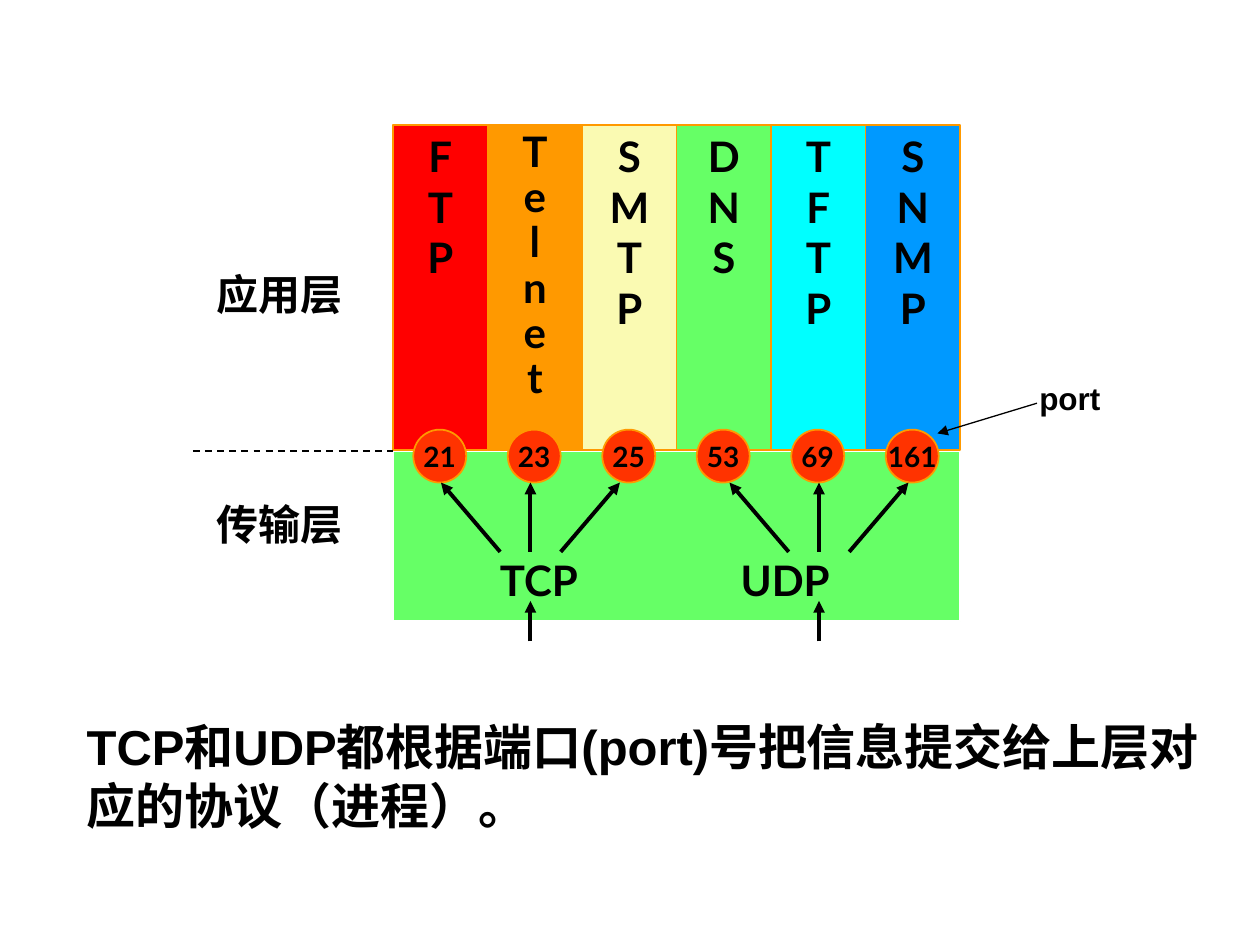
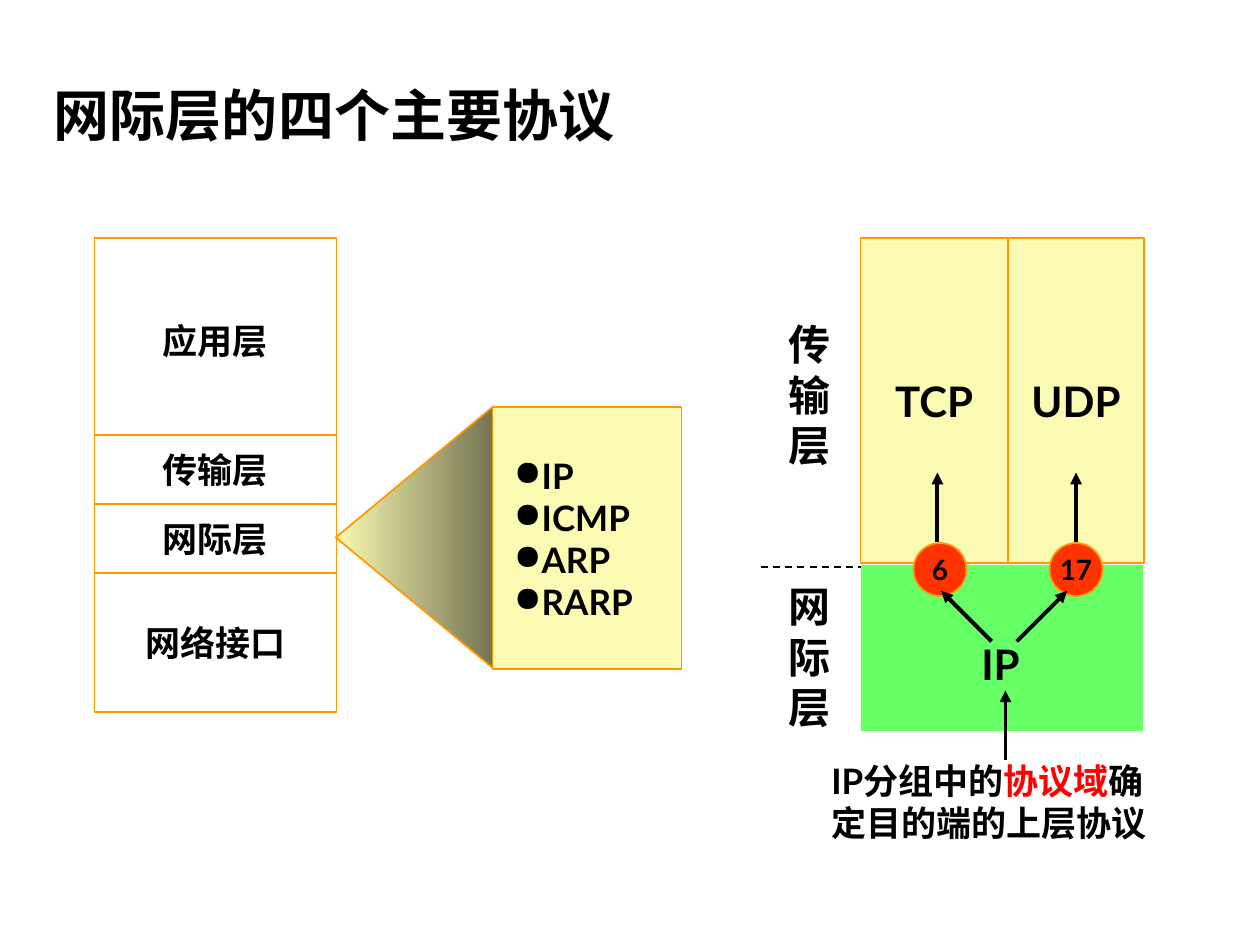
import typing

import lxml.etree
import pptx
import pptx.dml.color
import pptx.enum.dml
import pptx.enum.shapes
import pptx.enum.text
import pptx.oxml.ns
import pptx.util

EMU_PER_PX = 9144  # 100 px to the inch
COLORS = {
    "text": "000000",
    "white": "FFFFFF",
    "border": "FF9900",
    "port": "FF3300",
    "red": "FF0000",
    "orange": "FF9900",
    "cream": "FAFAB2",
    "shade": "747452",
    "green": "66FF66",
    "cyan": "00FFFF",
    "blue": "0099FF",
}
LATO, ARIAL = "Lato", "Arial"
PORT_SIZE = 42
LANE_HEIGHT = 258

SHAPE = pptx.enum.shapes.MSO_SHAPE
ALIGN = pptx.enum.text.PP_ALIGN
ANCHOR = pptx.enum.text.MSO_ANCHOR
DASH = pptx.enum.dml.MSO_LINE.DASH


class Box(typing.NamedTuple):
    left: int
    top: int
    width: int
    height: int


class Application(typing.NamedTuple):
    name: str
    port: str
    fill: str
    spacing: float = 1.0


class Layer(typing.NamedTuple):
    name: str
    top: int
    height: int


class Transport(typing.NamedTuple):
    name: str
    number: str
    lane: Box
    port_left: int
    arrow_x: int


APPLICATIONS = [
    Application("FTP", "21", "red"),
    Application("Telnet", "23", "orange", 0.9),
    Application("SMTP", "25", "cream"),
    Application("DNS", "53", "green"),
    Application("TFTP", "69", "cyan"),
    Application("SNMP", "161", "blue"),
]
LAYERS = [
    Layer("应用层", 189, 162),
    Layer("传输层", 345, 55),
    Layer("网际层", 400, 55),
    Layer("网络接口", 455, 110),
]
TRANSPORTS = [
    Transport("TCP", "6", Box(683, 189, 117, LANE_HEIGHT), 725, 744),
    Transport("UDP", "17", Box(800, 189, 108, LANE_HEIGHT), 833, 854),
]


def px(length: int) -> pptx.util.Emu:
    return pptx.util.Emu(length * EMU_PER_PX)


def rgb(name: str) -> pptx.dml.color.RGBColor:
    return pptx.dml.color.RGBColor.from_string(COLORS[name])


def add_xml(parent, tag: str, **attributes: str) -> None:
    lxml.etree.SubElement(parent, pptx.oxml.ns.qn(tag), attributes)


def write(shape, *lines: str, size: int = 24, font: str = LATO, align=ALIGN.LEFT,
          anchor=ANCHOR.TOP, wrap: bool = True, spacing: float = 1.0,
          highlight: str = "", bullet: str = "") -> None:
    """Fill a shape with one paragraph per line; the highlight turns red."""
    frame = shape.text_frame
    frame.word_wrap = wrap
    frame.vertical_anchor = anchor
    for index, line in enumerate(lines):
        paragraph = frame.add_paragraph() if index else frame.paragraphs[0]
        paragraph.alignment = align
        if spacing != 1.0:
            paragraph.line_spacing = spacing
        if bullet:
            properties = paragraph._p.get_or_add_pPr()
            properties.set("marL", str(px(24)))
            properties.set("indent", str(px(-17)))
            add_xml(properties, "a:buChar", char=bullet)
        pieces = line.partition(highlight) if highlight else (line,)
        for piece in filter(None, pieces):
            run = paragraph.add_run()
            run.text = piece
            run.font.size = pptx.util.Pt(size)
            run.font.name = font
            run.font.bold = True
            run.font.color.rgb = rgb("red" if piece == highlight else "text")


def add_label(slide, box: Box, text: str, **text_format) -> None:
    write(slide.shapes.add_textbox(*map(px, box)), text, **text_format)


def add_block(slide, box: Box, fill: str, border: str = "border", kind=SHAPE.RECTANGLE):
    block = slide.shapes.add_shape(kind, *map(px, box))
    block.shadow.inherit = False
    block.fill.solid()
    block.fill.fore_color.rgb = rgb(fill)
    block.line.color.rgb = rgb(border)
    block.line.width = pptx.util.Pt(1)
    return block


def add_port(slide, left: int, top: int, number: str) -> None:
    port = add_block(slide, Box(left, top, PORT_SIZE, PORT_SIZE), "port", kind=SHAPE.OVAL)
    write(port, number, size=16, align=ALIGN.CENTER, anchor=ANCHOR.MIDDLE, wrap=False)


def add_line(slide, start: tuple[int, int], end: tuple[int, int], *,
             width: float = 2.25, arrow: bool = True) -> None:
    """Draw an arrow, or a dashed line when arrow is False."""
    line = slide.shapes.add_connector(
        pptx.enum.shapes.MSO_CONNECTOR.STRAIGHT, *map(px, start + end))
    line.line.color.rgb = rgb("text")
    line.line.width = pptx.util.Pt(width)
    if arrow:
        add_xml(line.line._get_or_add_ln(), "a:tailEnd", type="triangle")
    else:
        line.line.dash_style = DASH
    add_xml(line._element.spPr, "a:effectLst")


def build_port_slide(slide) -> None:
    # Transport layer band
    add_block(slide, Box(312, 358, 450, 135), "green", "white")

    # Application lanes, then the ports at their feet
    lane_width = 75
    lane_lefts = [312 + lane_width * i for i in range(len(APPLICATIONS))]
    for left, app in zip(lane_lefts, APPLICATIONS):
        lane = add_block(slide, Box(left, 99, lane_width, LANE_HEIGHT), app.fill)
        write(lane, *app.name, align=ALIGN.CENTER, wrap=False, spacing=app.spacing)
    for left, app in zip(lane_lefts, APPLICATIONS):
        add_port(slide, left + 16, 341, app.port)

    # Layer names and their divider
    add_line(slide, (153, 358), (312, 358), width=1, arrow=False)
    add_label(slide, Box(162, 208, 125, 50), "应用层")
    add_label(slide, Box(162, 391, 125, 50), "传输层")

    # Each transport protocol fans out to three ports
    for name, left, center in (("TCP", 387, 421), ("UDP", 578, 650)):
        add_label(slide, Box(left, 435, 110, 50), name)
        for side in (-1, 0, 1):
            add_line(slide, (center + 24 * side, 438), (center + 71 * side, 383))
        add_line(slide, (center, 509), (center, 477))

    # Port callout and conclusion
    add_label(slide, Box(815, 296, 71, 40), "port", size=18, font=ARIAL)
    add_line(slide, (823, 320), (744, 344), width=0.75)
    add_label(slide, Box(59, 564, 914, 104),
              "TCP和UDP都根据端口(port)号把信息提交给上层对应的协议（进程）。",
              size=28, font=ARIAL)


def build_internet_layer_slide(slide) -> None:
    add_label(slide, Box(33, 56, 875, 69), "网际层的四个主要协议",
              size=32, font=ARIAL, anchor=ANCHOR.MIDDLE)

    # Layer stack
    for layer in LAYERS:
        block = add_block(slide, Box(75, layer.top, 192, layer.height), "white")
        write(block, layer.name, size=20, align=ALIGN.CENTER,
              anchor=ANCHOR.MIDDLE, wrap=False)

    # Shaded zoom from the internet layer to its protocols
    zoom = add_block(slide, Box(225, 364, 208, 125), "cream",
                     kind=SHAPE.ISOSCELES_TRIANGLE)
    zoom.rotation = 270
    zoom.fill.gradient()
    zoom.fill.gradient_angle = 0
    for stop, color in zip(zoom.fill.gradient_stops, ("cream", "shade")):
        stop.color.rgb = rgb(color)
    zoom._element.spPr.find(pptx.oxml.ns.qn("a:gradFill")).set("rotWithShape", "0")
    protocols = add_block(slide, Box(391, 323, 150, 208), "cream")
    write(protocols, "IP", "ICMP", "ARP", "RARP", size=20,
          anchor=ANCHOR.MIDDLE, bullet="●")

    # Internet layer band, transport lanes and protocol numbers
    add_block(slide, Box(683, 448, 225, 133), "green", "white")
    for transport in TRANSPORTS:
        lane = add_block(slide, transport.lane, "cream")
        write(lane, transport.name, align=ALIGN.CENTER, anchor=ANCHOR.MIDDLE, wrap=False)
        add_port(slide, transport.port_left, 431, transport.number)
        add_line(slide, (transport.arrow_x, 430), (transport.arrow_x, 375))

    # Layer names and their divider
    add_line(slide, (604, 450), (683, 450), width=1, arrow=False)
    add_label(slide, Box(616, 248, 50, 130), "传输层")
    add_label(slide, Box(616, 456, 58, 130), "网际层")

    # IP packet and its way up
    add_label(slide, Box(769, 502, 67, 50), "IP")
    add_label(slide, Box(650, 598, 283, 77), "IP分组中的协议域确定目的端的上层协议",
              size=20, highlight="协议域")
    add_line(slide, (798, 603), (798, 548))
    for side in (-1, 1):
        add_line(slide, (797 + 10 * side, 509), (797 + 50 * side, 469))


def main() -> None:
    deck = pptx.Presentation()
    deck.slide_width, deck.slide_height = px(1000), px(750)
    blank = deck.slide_layouts[6]
    for build in (build_port_slide, build_internet_layer_slide):
        build(deck.slides.add_slide(blank))
    deck.save("out.pptx")


if __name__ == "__main__":
    main()
